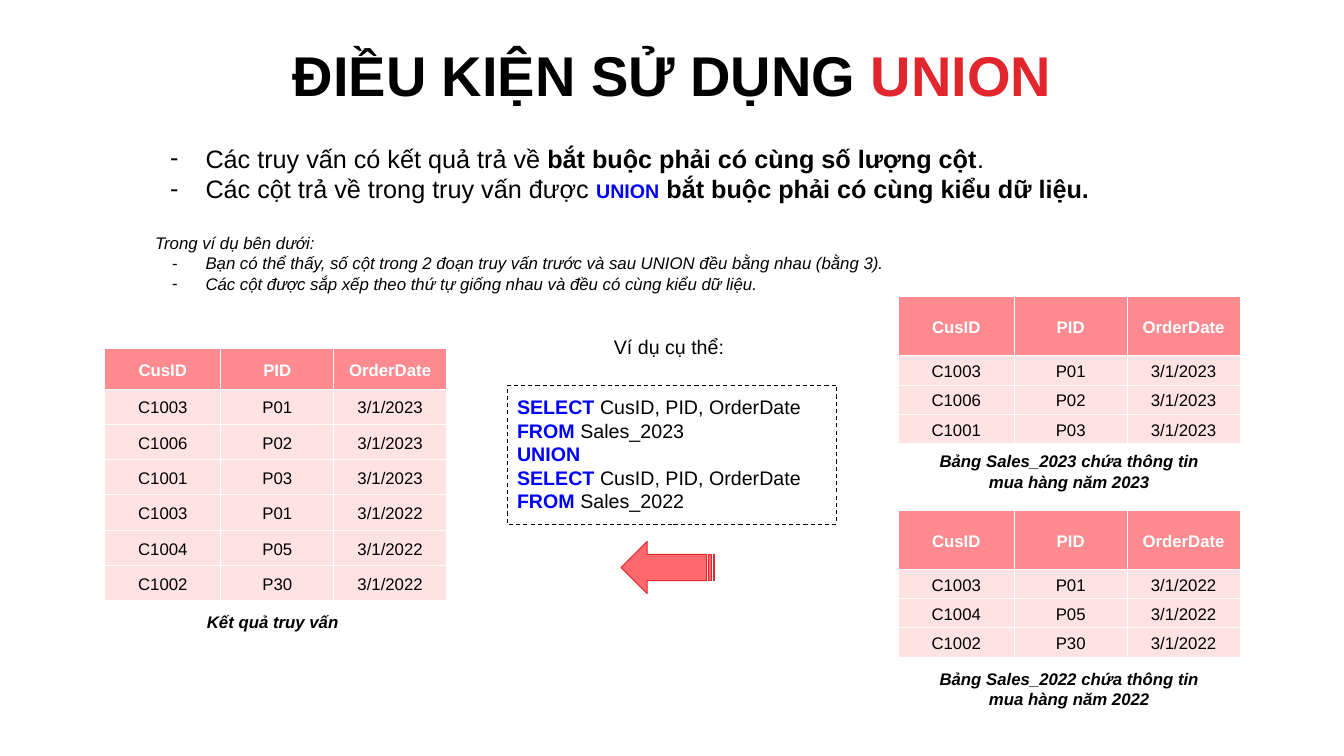
from dataclasses import dataclass

from lxml.etree import SubElement
from pptx import Presentation
from pptx.dml.color import RGBColor
from pptx.enum.dml import MSO_LINE
from pptx.enum.shapes import MSO_SHAPE as Shape
from pptx.enum.text import MSO_ANCHOR as Anchor, PP_ALIGN as Align
from pptx.oxml.ns import qn
from pptx.util import Pt

PX = 9144
FONT = "Arial"
BLACK = RGBColor(0x00, 0x00, 0x00)
WHITE = RGBColor(0xFF, 0xFF, 0xFF)
RED = RGBColor(0xE2, 0x26, 0x2D)
BLUE = RGBColor(0x00, 0x00, 0xFF)
CORAL = RGBColor(0xFF, 0x68, 0x6D)
HEADER_PINK = RGBColor(0xFF, 0x8A, 0x8F)
ROW_PINK = RGBColor(0xFF, 0xE3, 0xE3)

HEADER = ("CusID", "PID", "OrderDate")
COLUMN_WIDTHS = (115, 112, 112)
SALES_2023 = (
    ("C1003", "P01", "3/1/2023"),
    ("C1006", "P02", "3/1/2023"),
    ("C1001", "P03", "3/1/2023"),
)
SALES_2022 = (
    ("C1003", "P01", "3/1/2022"),
    ("C1004", "P05", "3/1/2022"),
    ("C1002", "P30", "3/1/2022"),
)


@dataclass(frozen=True)
class Span:
    text: str
    size: int
    color: RGBColor = BLACK
    bold: bool = False
    italic: bool = False


@dataclass(frozen=True)
class Line:
    spans: tuple[Span, ...]
    hanging: int = 0
    space_before: int = 0


@dataclass(frozen=True)
class TextBlock:
    box: tuple[int, int, int, int]
    lines: tuple[Line, ...]
    align: Align = Align.LEFT
    anchor: Anchor = Anchor.TOP
    inset: int = 10


@dataclass(frozen=True)
class SalesTable:
    left: int
    top: int
    header_height: int
    row_height: int
    rows: tuple[tuple[str, str, str], ...]


def style_run(run, span: Span) -> None:
    run.font.name = FONT
    run.font.size = Pt(span.size)
    run.font.bold = span.bold
    run.font.italic = span.italic
    run.font.color.rgb = span.color


def add_dash(paragraph, hanging: int) -> None:
    properties = paragraph._p.get_or_add_pPr()
    properties.set("marL", str(50 * PX))
    properties.set("indent", str(-hanging * PX))
    color = SubElement(properties, qn("a:buClr"))
    SubElement(color, qn("a:srgbClr")).set("val", str(BLACK))
    SubElement(properties, qn("a:buFont")).set("typeface", FONT)
    SubElement(properties, qn("a:buChar")).set("char", "-")


def fill_text(frame, block: TextBlock) -> None:
    frame.word_wrap = True
    frame.vertical_anchor = block.anchor
    frame.margin_left = frame.margin_right = 10 * PX
    frame.margin_top = frame.margin_bottom = block.inset * PX
    for index, line in enumerate(block.lines):
        paragraph = frame.add_paragraph() if index else frame.paragraphs[0]
        paragraph.alignment = block.align
        if line.space_before:
            paragraph.space_before = Pt(line.space_before)
        if line.hanging:
            add_dash(paragraph, line.hanging)
        for span in line.spans:
            run = paragraph.add_run()
            run.text = span.text
            style_run(run, span)


def add_text(slide, block: TextBlock) -> None:
    textbox = slide.shapes.add_textbox(*(n * PX for n in block.box))
    fill_text(textbox.text_frame, block)


def style_cell(cell, text: str, is_header: bool) -> None:
    cell.margin_left = cell.margin_right = 3 * PX
    cell.margin_top = cell.margin_bottom = 2 * PX
    cell.vertical_anchor = Anchor.MIDDLE
    for side in ("lnL", "lnR", "lnT", "lnB"):
        border = SubElement(cell._tc.get_or_add_tcPr(), qn(f"a:{side}"))
        border.set("w", str(Pt(0.75)))
        fill = SubElement(border, qn("a:solidFill"))
        SubElement(fill, qn("a:srgbClr")).set("val", str(WHITE))
    cell.fill.solid()
    cell.fill.fore_color.rgb = HEADER_PINK if is_header else ROW_PINK
    paragraph = cell.text_frame.paragraphs[0]
    paragraph.text = text
    paragraph.alignment = Align.CENTER
    paragraph.line_spacing = 1.15
    span = Span(text, 12, WHITE if is_header else BLACK, bold=is_header)
    style_run(paragraph.runs[0], span)


def add_sales_table(slide, sales: SalesTable) -> None:
    records = (HEADER, *sales.rows)
    heights = (sales.header_height, *[sales.row_height] * len(sales.rows))
    table = slide.shapes.add_table(
        len(records), len(HEADER), sales.left * PX, sales.top * PX,
        sum(COLUMN_WIDTHS) * PX, sum(heights) * PX,
    ).table
    table.horz_banding = False
    for column, width in zip(table.columns, COLUMN_WIDTHS):
        column.width = width * PX
    for index, (row, height, record) in enumerate(zip(table.rows, heights, records)):
        row.height = height * PX
        for cell, text in zip(row.cells, record):
            style_cell(cell, text, index == 0)


def add_query(slide, block: TextBlock) -> None:
    frame = slide.shapes.add_shape(Shape.RECTANGLE, *(n * PX for n in block.box))
    frame.shadow.inherit = False
    frame.fill.background()
    frame.line.color.rgb = BLACK
    frame.line.width = Pt(0.75)
    frame.line.dash_style = MSO_LINE.DASH
    fill_text(frame.text_frame, block)


def add_result_arrow(slide) -> None:
    arrow = slide.shapes.add_shape(
        Shape.STRIPED_RIGHT_ARROW, 616 * PX, 537 * PX, 93 * PX, 52 * PX
    )
    arrow.shadow.inherit = False
    arrow.fill.solid()
    arrow.fill.fore_color.rgb = CORAL
    arrow.line.color.rgb = RED
    arrow.line.width = Pt(0.75)
    arrow._element.spPr.xfrm.set("flipH", "1")


def caption(box: tuple[int, int, int, int], *texts: str) -> TextBlock:
    lines = tuple(Line((Span(text, 12, bold=True, italic=True),)) for text in texts)
    return TextBlock(box, lines, Align.CENTER, Anchor.MIDDLE)


def query_line(keyword: str, rest: str = "") -> Line:
    return Line((Span(keyword, 14, BLUE, bold=True),) + ((Span(rest, 14),) if rest else ()))


def note(text: str, hanging: int = 0, space_before: int = 0) -> Line:
    return Line((Span(text, 12, italic=True),), hanging, space_before)


TITLE = TextBlock((127, 35, 1079, 77), (
    Line((Span("ĐIỀU KIỆN SỬ DỤNG ", 40, bold=True), Span("UNION", 40, RED, bold=True))),
), Align.CENTER, inset=5)
CONDITIONS = TextBlock((144, 132, 1046, 172), (
    Line((Span("Các truy vấn có kết quả trả về ", 18),
          Span("bắt buộc phải có cùng số lượng cột", 18, bold=True),
          Span(".", 18)), hanging=35),
    Line((Span("Các cột trả về trong truy vấn được ", 18),
          Span("UNION", 14, BLUE, bold=True),
          Span(" ", 18),
          Span("bắt buộc phải có cùng kiểu dữ liệu.", 18, bold=True)), hanging=35),
    note("Trong ví dụ bên dưới:", space_before=21),
    note("Bạn có thể thấy, số cột trong 2 đoạn truy vấn trước và sau UNION "
         "đều bằng nhau (bằng 3).", hanging=33),
    note("Các cột được sắp xếp theo thứ tự giống nhau và đều có cùng kiểu dữ liệu.", hanging=33),
))
EXAMPLE = TextBlock((599, 322, 136, 44), (Line((Span("Ví dụ cụ thể:", 14),)),))
QUERY = TextBlock((503, 382, 327, 138), (
    query_line("SELECT", " CusID, PID, OrderDate"),
    query_line("FROM ", "Sales_2023"),
    query_line("UNION"),
    query_line("SELECT", " CusID, PID, OrderDate"),
    query_line("FROM ", "Sales_2022"),
))
CAPTIONS = (
    caption((891, 653, 339, 61), "Bảng Sales_2022 chứa thông tin", "mua hàng năm 2022"),
    caption((891, 437, 339, 61), "Bảng Sales_2023 chứa thông tin", "mua hàng năm 2023"),
    caption((163, 597, 215, 40), "Kết quả truy vấn"),
)
TABLES = (
    SalesTable(891, 506, 59, 29, SALES_2022),
    SalesTable(891, 294, 59, 29, SALES_2023),
    SalesTable(104, 346, 40, 35, SALES_2023 + SALES_2022),
)


def main() -> None:
    deck = Presentation()
    deck.slide_width, deck.slide_height = 1333 * PX, 750 * PX
    slide = deck.slides.add_slide(deck.slide_layouts[6])
    for block in (TITLE, CONDITIONS, EXAMPLE, *CAPTIONS):
        add_text(slide, block)
    for sales in TABLES:
        add_sales_table(slide, sales)
    add_query(slide, QUERY)
    add_result_arrow(slide)
    deck.save("out.pptx")


if __name__ == "__main__":
    main()
